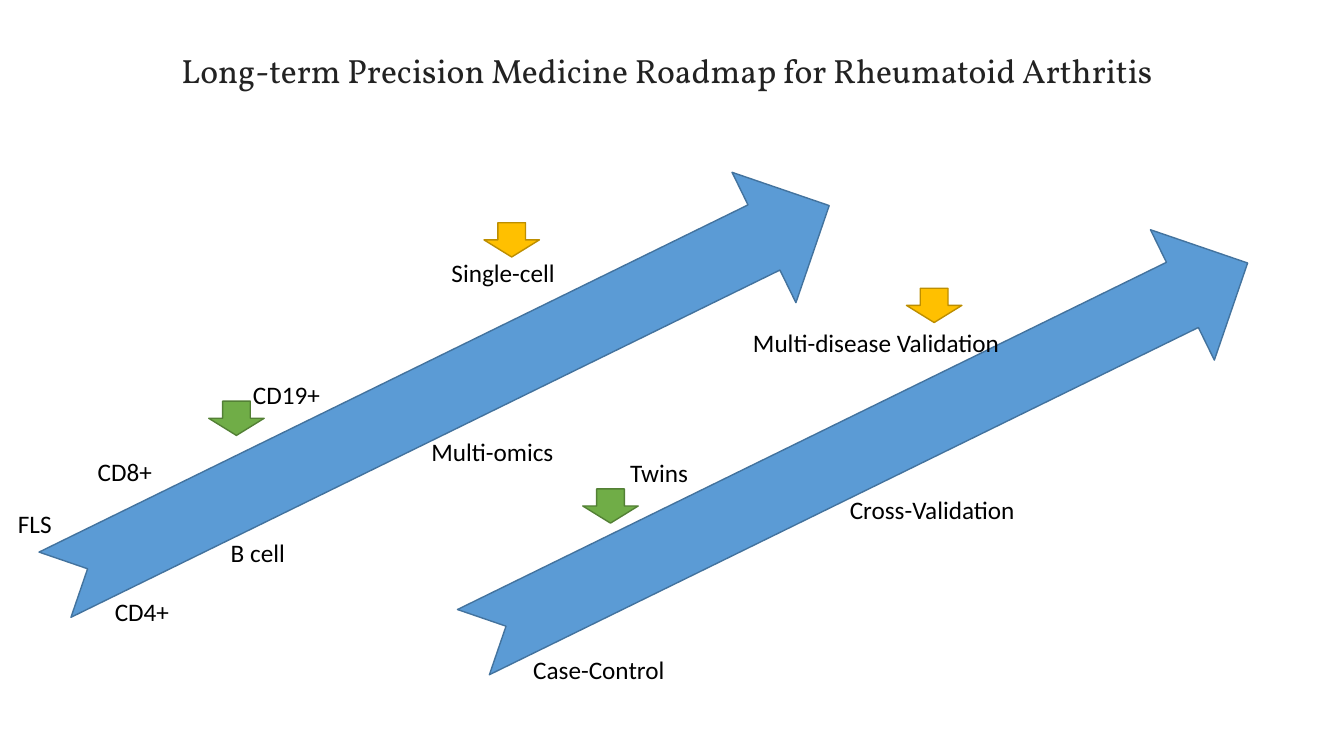
import pptx
import pptx.dml.color
import pptx.enum.shapes
import pptx.enum.text
import pptx.util

Inches = pptx.util.Inches
Shapes = pptx.enum.shapes.MSO_SHAPE

TITLE = "Long-term Precision Medicine Roadmap for Rheumatoid Arthritis"

# left, top
ROADMAP_ARROWS = [(0.11, 3.2), (4.26, 3.77)]
ROADMAP_SIZE = (8.55, 1.44)
ROADMAP_ROTATION = 333.9

# left, top, fill, line
MARKERS = [
    (4.8, 2.21, "FFC000", "BD8E00"),
    (8.99, 2.86, "FFC000", "BD8E00"),
    (2.07, 3.98, "70AD47", "538035"),
    (5.78, 4.85, "70AD47", "538035"),
]
MARKER_SIZE = (0.55, 0.34)

# text, left, top, width
LABELS = [
    ("FLS", 0.08, 4.99, 0.54),
    ("CD4+", 1.04, 5.87, 0.75),
    ("CD8+", 0.87, 4.48, 0.75),
    ("B cell", 2.19, 5.28, 0.75),
    ("CD19+", 2.41, 3.71, 0.88),
    ("Multi-omics", 4.18, 4.28, 1.43),
    ("Single-cell", 4.38, 2.5, 1.24),
    ("Case-Control", 5.19, 6.44, 1.52),
    ("Twins", 6.15, 4.49, 0.78),
    ("Cross-Validation", 8.33, 4.85, 1.85),
    ("Multi-disease Validation", 7.37, 3.2, 2.67),
]
LABEL_HEIGHT = 0.4


def color(value):
    return pptx.dml.color.RGBColor.from_string(value)


def add_arrow(slide, kind, position, size, fill, line):
    shape = slide.shapes.add_shape(kind, *map(Inches, position + size))
    shape.shadow.inherit = False
    shape.fill.solid()
    shape.fill.fore_color.rgb = color(fill)
    shape.line.color.rgb = color(line)
    shape.line.width = pptx.util.Pt(1)
    return shape


def add_text(slide, text, box, font_name, size, font_color, wrap=False):
    text_frame = slide.shapes.add_textbox(*map(Inches, box)).text_frame
    text_frame.word_wrap = wrap
    text_frame.auto_size = pptx.enum.text.MSO_AUTO_SIZE.SHAPE_TO_FIT_TEXT
    text_frame.text = text
    paragraph = text_frame.paragraphs[0]
    font = paragraph.runs[0].font
    font.name = font_name
    font.size = pptx.util.Pt(size)
    font.color.rgb = color(font_color)
    return paragraph


def main():
    presentation = pptx.Presentation()
    presentation.slide_width = Inches(13.33)
    presentation.slide_height = Inches(7.5)
    slide = presentation.slides.add_slide(presentation.slide_layouts[6])

    for position in ROADMAP_ARROWS:
        arrow = add_arrow(slide, Shapes.NOTCHED_RIGHT_ARROW, position,
                          ROADMAP_SIZE, "5B9BD5", "43739E")
        arrow.rotation = ROADMAP_ROTATION

    for left, top, fill, line in MARKERS:
        add_arrow(slide, Shapes.DOWN_ARROW, (left, top), MARKER_SIZE, fill, line)

    for text, left, top, width in LABELS:
        add_text(slide, text, (left, top, width, LABEL_HEIGHT),
                 "Calibri", 18, "000000")

    title = add_text(slide, TITLE, (1.25, 0.45, 10.73, 0.5),
                     "Vollkorn", 24, "222222", wrap=True)
    title.alignment = pptx.enum.text.PP_ALIGN.CENTER

    presentation.save("out.pptx")


if __name__ == "__main__":
    main()
